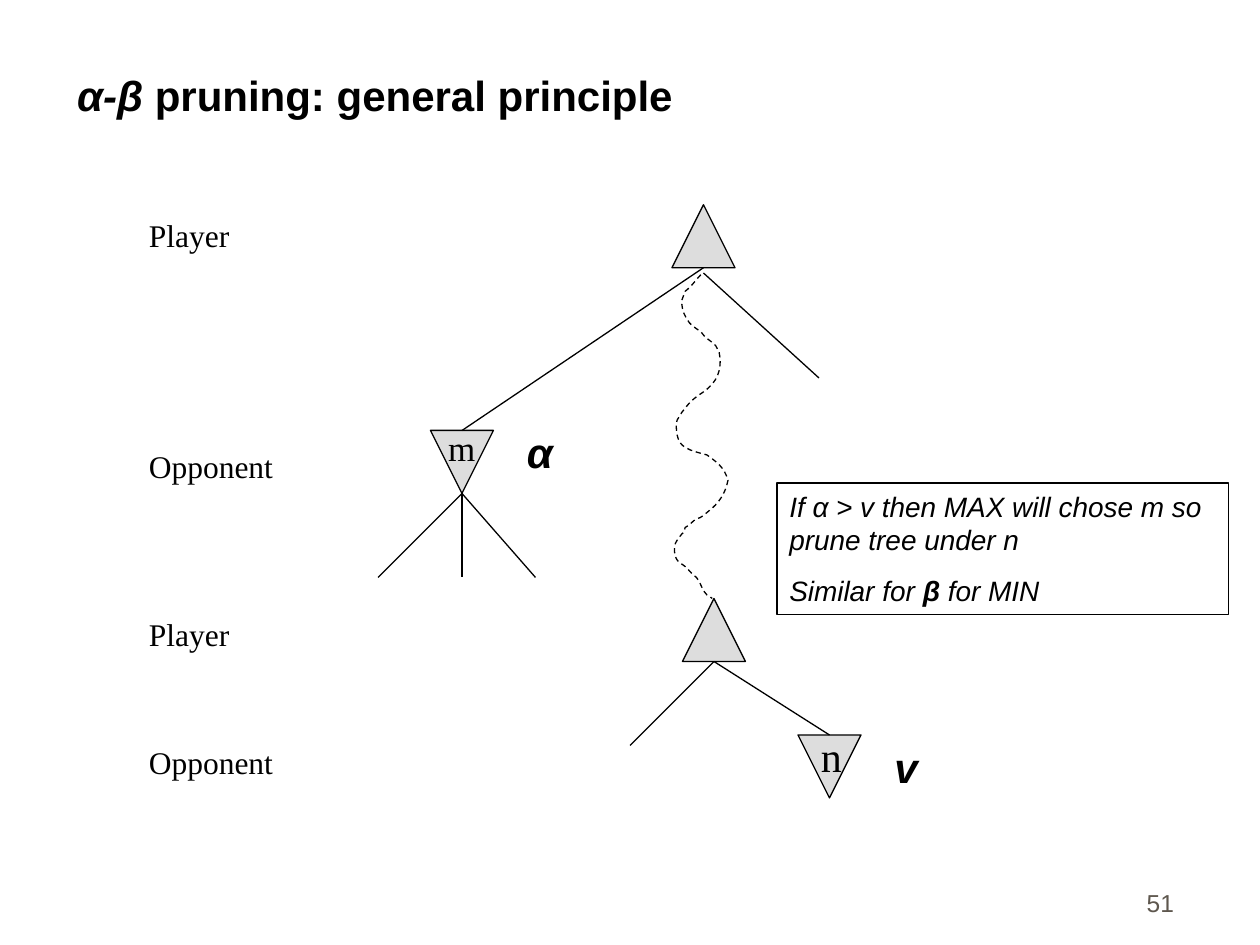
from lxml import etree
from pptx import Presentation
from pptx.dml.color import RGBColor
from pptx.enum.dml import MSO_LINE
from pptx.enum.shapes import MSO_CONNECTOR, MSO_SHAPE
from pptx.enum.text import MSO_ANCHOR, MSO_AUTO_SIZE, PP_ALIGN
from pptx.oxml.ns import qn
from pptx.util import Pt

STRAIGHT = MSO_CONNECTOR.STRAIGHT
TRIANGLE, RECTANGLE = MSO_SHAPE.ISOSCELES_TRIANGLE, MSO_SHAPE.RECTANGLE
TOP, BOTTOM = MSO_ANCHOR.TOP, MSO_ANCHOR.BOTTOM
LEFT, RIGHT = PP_ALIGN.LEFT, PP_ALIGN.RIGHT
GROW, FIXED = MSO_AUTO_SIZE.SHAPE_TO_FIT_TEXT, MSO_AUTO_SIZE.NONE
DASH = MSO_LINE.DASH

THEME = {
    "ink": RGBColor(0x00, 0x00, 0x00),
    "node": RGBColor(0xDD, 0xDD, 0xDD),
    "muted": RGBColor(0x5E, 0x57, 0x4E),
    "line": Pt(0.75),
    "sans": "Arial",
    "serif": "Times New Roman",
}
STYLES = {
    "title": {"name": THEME["sans"], "size": Pt(24), "bold": True},
    "symbol": {"name": THEME["sans"], "size": Pt(24), "bold": True, "italic": True},
    "level": {"name": THEME["serif"], "size": Pt(18)},
    "small_node": {"name": THEME["serif"], "size": Pt(20)},
    "large_node": {"name": THEME["serif"], "size": Pt(24)},
    "rule": {"name": THEME["sans"], "size": Pt(16), "italic": True},
    "rule_symbol": {"name": THEME["sans"], "size": Pt(16), "bold": True, "italic": True},
    "number": {"name": THEME["sans"], "size": Pt(14)},
}

TITLE = [[("α-β", "symbol"), (" pruning: general principle", "title")]]
RULE = [
    [("If α > v then MAX will chose m so prune tree under n", "rule")],
    [("Similar for ", "rule"), ("β", "rule_symbol"), (" for MIN", "rule")],
]
LEVELS = [("Player", 120, 63), ("Opponent", 252, 88),
          ("Player", 348, 63), ("Opponent", 421, 88)]
LABELS = [
    ("m", "small_node", (249, 240, 30, 32)),
    ("n", "large_node", (462, 414, 24, 36)),
    ("α", "symbol", (294, 240, 27, 36)),
    ("v", "symbol", (504, 420, 36, 36)),
]
NODE_SIDE = 36
NODES = [(246, 246, True), (384, 117, False), (390, 342, False), (456, 420, True)]
BRANCHES = [
    ((402, 153), [(264, 246)]),
    ((402, 156), [(468, 216)]),
    ((408, 378), [(474, 420), (360, 426)]),
    ((264, 282), [(216, 330), (264, 330), (306, 330)]),
]
DESCENT_START = (400.5, 157)
DESCENT_CURVES = [
    ((397.5, 160), (395.5, 163.5), (391.5, 166.5)),
    ((391, 168), (389.5, 172), (389.5, 172)),
    ((390, 178.5), (391, 180), (394, 184.5)),
    ((395.5, 186.5), (400.5, 189.5), (400.5, 189.5)),
    ((402.5, 193), (406, 194.5), (409, 197.5)),
    ((409.5, 198.5), (411, 201.5), (411, 201.5)),
    ((412.5, 209), (411, 216), (405.5, 221)),
    ((403, 224), (399, 225.5), (396.5, 228)),
    ((394.5, 229.5), (392.5, 232), (391, 234)),
    ((389.5, 235.5), (388, 238.5), (388, 238.5)),
    ((387.5, 239), (386.5, 240.5), (386.5, 242)),
    ((386.5, 245), (386.5, 247.5), (387.5, 250.5)),
    ((389, 257), (399, 258.5), (404, 260)),
    ((409.5, 264), (414, 267), (416, 274.5)),
    ((414.5, 282), (411, 287.5), (404.5, 292.5)),
    ((402.5, 294), (401, 296), (398, 296.5)),
    ((395.5, 298), (394.5, 300), (391.5, 301.5)),
    ((391.5, 302.5), (391, 303), (391, 304)),
    ((390, 304.5), (389.5, 305.5), (389, 306)),
    ((387.5, 307.5), (386, 310.5), (386, 310.5)),
    ((385, 314), (385, 319.5), (389, 322)),
    ((390, 322.5), (392.5, 324.5), (392.5, 324.5)),
    ((394.5, 327), (396, 328.5), (398, 330)),
    ((400.5, 332.5), (401, 337.5), (404, 340)),
    ((406, 341.5), (405.5, 340.5), (407, 342)),
]


def points(values):
    return [Pt(value) for value in values]


def outline(part):
    part.line.color.rgb = THEME["ink"]
    part.line.width = THEME["line"]


def write(holder, paragraphs, color=THEME["ink"], align=LEFT, gap=0, **frame_format):
    frame = holder.text_frame
    settings = {"word_wrap": True, "vertical_anchor": TOP, "auto_size": GROW, **frame_format}
    for key, value in settings.items():
        setattr(frame, key, value)
    for index, runs in enumerate(paragraphs):
        paragraph = frame.add_paragraph() if index else frame.paragraphs[0]
        paragraph.alignment = align
        if index:
            paragraph.space_before = Pt(gap)
        for words, style in runs:
            run = paragraph.add_run()
            run.text = words
            run.font.color.rgb = color
            for key, value in STYLES[style].items():
                setattr(run.font, key, value)


def add_text(slide, box, paragraphs, **options):
    write(slide.shapes.add_textbox(*points(box)), paragraphs, **options)


def add_node(slide, left, top, inverted):
    node = slide.shapes.add_shape(TRIANGLE, *points((left, top, NODE_SIDE, NODE_SIDE)))
    node.shadow.inherit = False
    node.fill.solid()
    node.fill.fore_color.rgb = THEME["node"]
    outline(node)
    if inverted:
        node.element.spPr.find(qn("a:xfrm")).set("flipV", "1")


def add_branch(slide, start, end):
    branch = slide.shapes.add_connector(STRAIGHT, *points(start + end))
    outline(branch)
    etree.SubElement(branch.element.spPr, qn("a:effectLst"))


def add_descent(slide):
    builder = slide.shapes.build_freeform(*points(DESCENT_START))
    vertices = [points(vertex) for curve in DESCENT_CURVES for vertex in curve]
    builder.add_line_segments(vertices, close=False)
    descent = builder.convert_to_shape()
    segments = list(descent.element.iter(qn("a:lnTo")))
    for first in range(0, len(segments), 3):
        curve = etree.Element(qn("a:cubicBezTo"))
        segments[first].addprevious(curve)
        for segment in segments[first:first + 3]:
            curve.append(segment[0])
            segment.getparent().remove(segment)
    descent.shadow.inherit = False
    descent.fill.background()
    outline(descent)
    descent.line.dash_style = DASH


def main():
    deck = Presentation()
    deck.slide_width, deck.slide_height = Pt(720), Pt(540)
    slide = deck.slides.add_slide(deck.slide_layouts[6])

    add_text(slide, (37, 18, 642, 54), TITLE, vertical_anchor=BOTTOM, auto_size=FIXED)
    for node in NODES:
        add_node(slide, *node)
    for start, ends in BRANCHES:
        for end in ends:
            add_branch(slide, start, end)
    add_descent(slide)
    for name, top, width in LEVELS:
        add_text(slide, (78, top, width, 29), [[(name, "level")]])
    for symbol, style, box in LABELS:
        add_text(slide, box, [[(symbol, style)]])

    rule_box = slide.shapes.add_shape(RECTANGLE, *points((444, 276, 258, 75)))
    rule_box.shadow.inherit = False
    rule_box.fill.background()
    outline(rule_box)
    write(rule_box, RULE, gap=10)

    add_text(slide, (528, 492, 150, 36), [[("51", "number")]], color=THEME["muted"],
             align=RIGHT, vertical_anchor=BOTTOM, auto_size=FIXED)
    deck.save("out.pptx")


if __name__ == "__main__":
    main()
